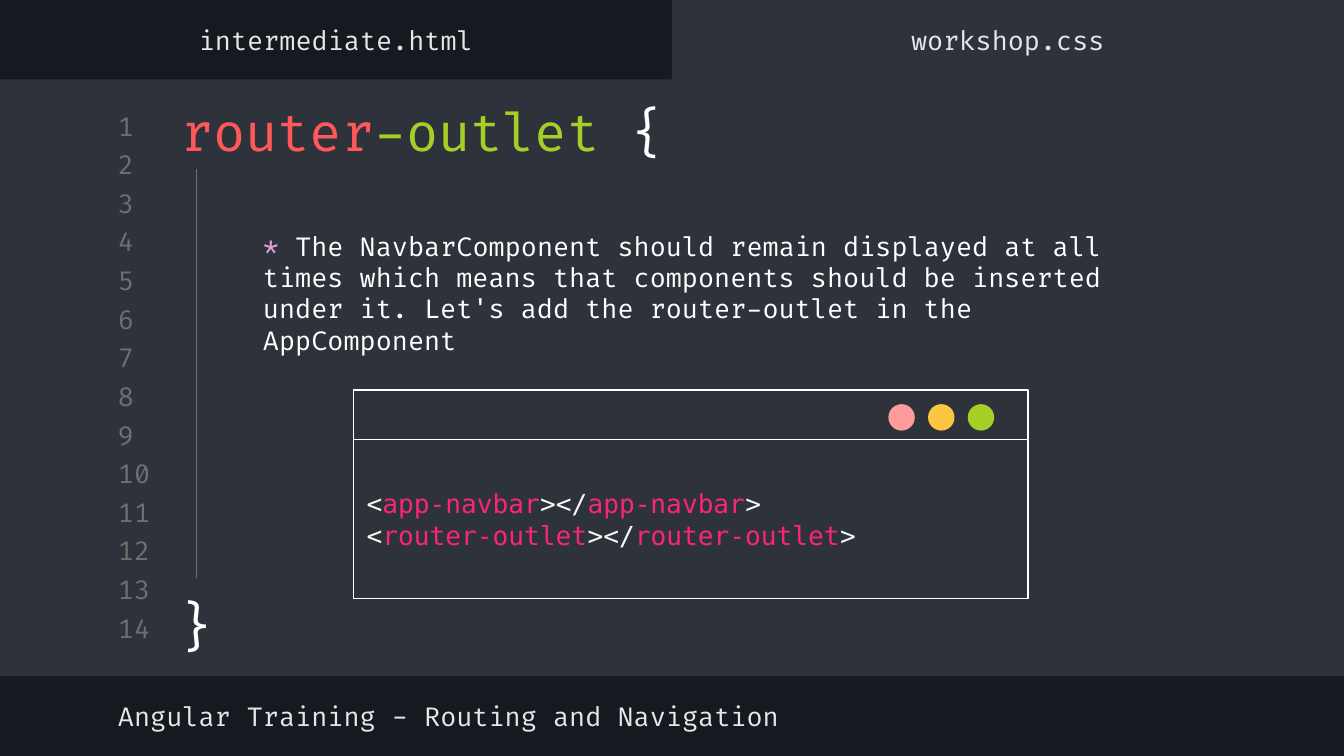
from lxml.etree import SubElement
from pptx import Presentation
from pptx.dml.color import RGBColor
from pptx.enum.shapes import MSO_CONNECTOR, MSO_SHAPE
from pptx.enum.text import MSO_ANCHOR, MSO_AUTO_SIZE, PP_ALIGN
from pptx.oxml.ns import qn
from pptx.util import Cm, Pt

DARK = RGBColor(0x16, 0x19, 0x1F)
PANEL = RGBColor(0x2E, 0x32, 0x3B)
GREY = RGBColor(0x70, 0x70, 0x70)
LIGHT = RGBColor(0xE7, 0xE7, 0xE7)
WHITE = RGBColor(0xFF, 0xFF, 0xFF)
RED = RGBColor(0xFF, 0x58, 0x58)
GREEN = RGBColor(0xA5, 0xCF, 0x27)
LILAC = RGBColor(0xDB, 0xA0, 0xDB)
PINK = RGBColor(0xFF, 0x9B, 0x9B)
YELLOW = RGBColor(0xFC, 0xC6, 0x42)
CODE = RGBColor(0xF8, 0xF8, 0xF2)
TAG = RGBColor(0xF9, 0x26, 0x72)

TITLE = [("router", RED), ("-outlet ", GREEN), ("{", WHITE)]
BODY = [
    ("* ", LILAC),
    ("The NavbarComponent should remain displayed at all times which means "
     "that components should be inserted under it. Let's add the "
     "router-outlet in the AppComponent", WHITE),
]
TAGS = ["app-navbar", "router-outlet"]
LABELS = [
    ("Angular Training - Routing and Navigation", 1.98, 13.03, 13.51, PP_ALIGN.LEFT),
    ("intermediate.html", 0, 0.25, 12.7, PP_ALIGN.CENTER),
    ("workshop.css", 12.7, 0.25, 12.7, PP_ALIGN.CENTER),
]
PANELS = [(0, 1.5, 25.4, 11.28), (12.7, 0, 12.7, 1.75)]
WINDOW = [(6.68, 8.31, 12.75, 3), (6.68, 7.37, 12.75, 0.94)]
BUTTONS = [PINK, YELLOW, GREEN]
LINE_COUNT = 14


def write(sp, paragraphs, size=14, font="Fira Code", align=PP_ALIGN.LEFT,
          anchor=MSO_ANCHOR.MIDDLE):
    tf = sp.text_frame
    tf.word_wrap = True
    tf.auto_size = MSO_AUTO_SIZE.NONE
    tf.vertical_anchor = anchor
    tf.margin_left = tf.margin_right = tf.margin_top = tf.margin_bottom = Cm(0.25)
    for i, runs in enumerate(paragraphs):
        p = tf.add_paragraph() if i else tf.paragraphs[0]
        p.alignment = align
        p.space_before = Pt(0)
        for text, color in runs:
            r = p.add_run()
            r.text = text
            r.font.size = Pt(size)
            r.font.name = font
            r.font.color.rgb = color


def add_shape(s, kind, box, fill, line=None):
    sp = s.shapes.add_shape(kind, *map(Cm, box))
    sp.shadow.inherit = False
    sp.fill.solid()
    sp.fill.fore_color.rgb = fill
    if line is None:
        sp.line.fill.background()
    else:
        sp.line.color.rgb = line
        sp.line.width = Pt(0.75)
    return sp


def add_text(s, box, paragraphs, **fmt):
    write(s.shapes.add_textbox(*map(Cm, box)), paragraphs, **fmt)


def place(s, sp, box):
    sp.left, sp.top, sp.width, sp.height = map(Cm, box)
    s.shapes._spTree.append(sp._element)


prs = Presentation()
prs.slide_width, prs.slide_height = Cm(25.4), Cm(14.29)
s = prs.slides.add_slide(prs.slide_layouts[1])
s.background.fill.solid()
s.background.fill.fore_color.rgb = DARK

for box in PANELS:
    add_shape(s, MSO_SHAPE.RECTANGLE, box, PANEL)

for i in range(LINE_COUNT):
    add_text(s, (1.98, 2.07 + 0.73 * i, 1.19, 0.61), [[(str(i + 1), GREY)]])

title, body = s.placeholders
place(s, title, (3.18, 1.63, 20.24, 1.5))
write(title, [TITLE], size=28, anchor=MSO_ANCHOR.TOP)

for text, x, y, w, align in LABELS:
    add_text(s, (x, y, w, 1), [[(text, LIGHT)]], align=align)

add_text(s, (3.02, 10.97, 1.4, 1.7), [[("}", WHITE)]], size=28,
         align=PP_ALIGN.CENTER, anchor=MSO_ANCHOR.TOP)
guide = s.shapes.add_connector(MSO_CONNECTOR.STRAIGHT, Cm(3.71), Cm(3.2), Cm(3.71), Cm(10.92))
guide.line.color.rgb = GREY
guide.line.width = Pt(0.75)
SubElement(guide._element.spPr, qn("a:effectLst"))

place(s, body, (4.52, 3.68, 17.55, 3.71))
pPr = body.text_frame.paragraphs[0]._p.get_or_add_pPr()
pPr.set("marL", str(Cm(0.2)))
pPr.set("indent", "0")
SubElement(pPr, qn("a:buNone"))
write(body, [BODY])

editor, bar = [add_shape(s, MSO_SHAPE.RECTANGLE, box, PANEL, WHITE) for box in WINDOW]
write(editor, [[("<", CODE), (tag, TAG), ("></", CODE), (tag, TAG), (">", CODE)]
               for tag in TAGS], font="DejaVu Sans Mono")
for i, color in enumerate(BUTTONS):
    add_shape(s, MSO_SHAPE.OVAL, (16.79 + 0.75 * i, 7.64, 0.5, 0.5), color)

prs.save("out.pptx")
